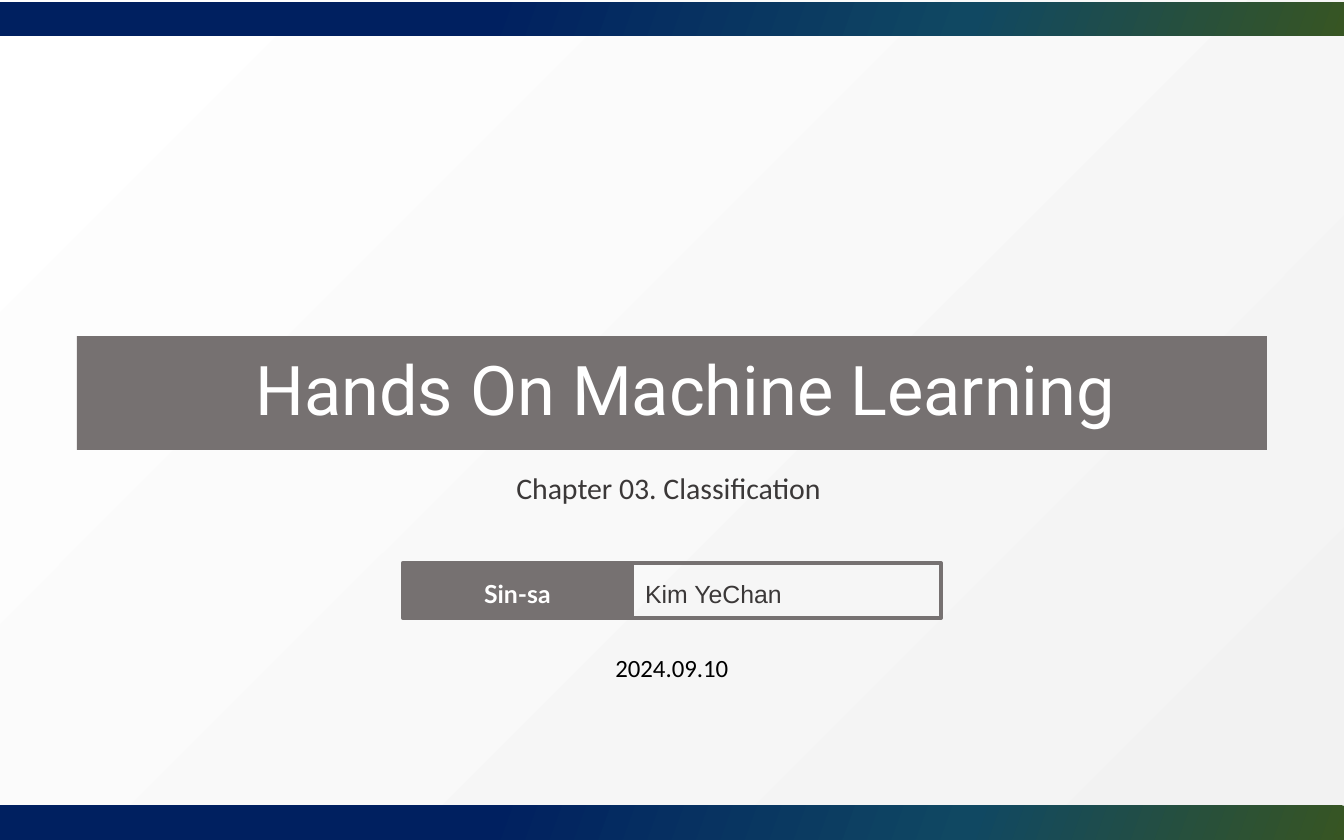
"""Build the title slide of a machine learning study deck."""
from lxml.etree import SubElement
from pptx import Presentation
from pptx.dml.color import RGBColor
from pptx.enum.shapes import MSO_SHAPE
from pptx.enum.text import MSO_ANCHOR as Anchor, MSO_AUTO_SIZE as AutoSize, PP_ALIGN as Align
from pptx.oxml.ns import qn
from pptx.util import Pt

WHITE = RGBColor(0xFF, 0xFF, 0xFF)
PALE = RGBColor(0xF2, 0xF2, 0xF2)
GREY = RGBColor(0x76, 0x71, 0x71)
DARK = RGBColor(0x3B, 0x38, 0x38)
BLACK = RGBColor(0, 0, 0)
GREEN = RGBColor(0x37, 0x55, 0x23)
TEAL = RGBColor(0x10, 0x48, 0x62)
NAVY = RGBColor(0x00, 0x20, 0x60)

EMU_PER_PX = 914400 / 134.4
WIDTH, HEIGHT = 1344, 840
BAND_HEIGHT = 34
BAND_TOPS = (2, HEIGHT - BAND_HEIGHT)
BAND_STOPS = [(0, GREEN), (28, TEAL), (64, NAVY), (100, NAVY)]
BACKDROP_STOPS = [(0, WHITE), (100, PALE)]

TITLE = "Hands On Machine Learning"
TITLE_BOX = (77, 336, 1190, 114)
TITLE_INDENT = 27
DETAILS = [
    ("Sin-sa", (403, 563, 229, 55),
     dict(font="Lato", size=13.3, color=WHITE, bold=True, fill=GREY, border=GREY)),
    ("Kim YeChan", (632, 563, 309, 55),
     dict(font="Arial", size=13.3, color=DARK, align=Align.LEFT, border=GREY)),
    ("Chapter 03. Classification ", (77, 449, 1190, 75),
     dict(font="Calibri", size=16, color=DARK, spacing=1.4)),
    ("2024.09.10", (403, 637, 538, 55),
     dict(font="Calibri", size=13.3, color=BLACK)),
]


def px(length):
    """Turn px into EMU."""
    return round(length * EMU_PER_PX)


def paint_gradient(fill, owner, stops, clockwise):
    """Give a fill a linear gradient with any number of stops."""
    fill.gradient()
    fill.gradient_angle = 360 - clockwise
    stop_list = owner.xpath(".//a:gsLst")[0]
    for old_stop in list(stop_list):
        stop_list.remove(old_stop)
    for percent, color in stops:
        stop = SubElement(stop_list, qn("a:gs"), pos=str(percent * 1000))
        SubElement(stop, qn("a:srgbClr"), val=str(color))


def write(box, text, *, font, size, color, bold=False, align=Align.CENTER,
          spacing=1.3, anchor=Anchor.TOP, fill=None, border=None):
    """Put formatted text in a box and return its paragraph."""
    frame = box.text_frame
    frame.word_wrap = True
    frame.auto_size = AutoSize.NONE
    frame.vertical_anchor = anchor
    paragraph = frame.paragraphs[0]
    paragraph.alignment = align
    paragraph.line_spacing = spacing
    run = paragraph.add_run()
    run.text = text
    run.font.name, run.font.size, run.font.bold = font, Pt(size), bold
    run.font.color.rgb = color
    if fill is not None:
        box.fill.solid()
        box.fill.fore_color.rgb = fill
    if border is not None:
        box.line.color.rgb = border
        box.line.width = Pt(2.25)
    return paragraph


def main():
    """Lay out the slide and save it."""
    deck = Presentation()
    deck.slide_width, deck.slide_height = px(WIDTH), px(HEIGHT)
    slide = deck.slides.add_slide(deck.slide_layouts[5])
    paint_gradient(slide.background.fill, slide.element, BACKDROP_STOPS, 45)

    for top in BAND_TOPS:
        band = slide.shapes.add_shape(
            MSO_SHAPE.RECTANGLE, 0, px(top), px(WIDTH), px(BAND_HEIGHT))
        band.shadow.inherit = False
        band.line.fill.background()
        paint_gradient(band.fill, band.element, BAND_STOPS, 200)

    title = slide.shapes.title
    title.left, title.top, title.width, title.height = map(px, TITLE_BOX)
    heading = write(title, TITLE, font="Roboto", size=36.7, color=WHITE,
                    spacing=0.9, anchor=Anchor.MIDDLE, fill=GREY)
    heading_format = heading._p.get_or_add_pPr()
    heading_format.set("marL", str(px(TITLE_INDENT)))
    heading_format.set("indent", "0")

    for text, place, style in DETAILS:
        write(slide.shapes.add_textbox(*map(px, place)), text, **style)

    deck.save("out.pptx")


if __name__ == "__main__":
    main()
